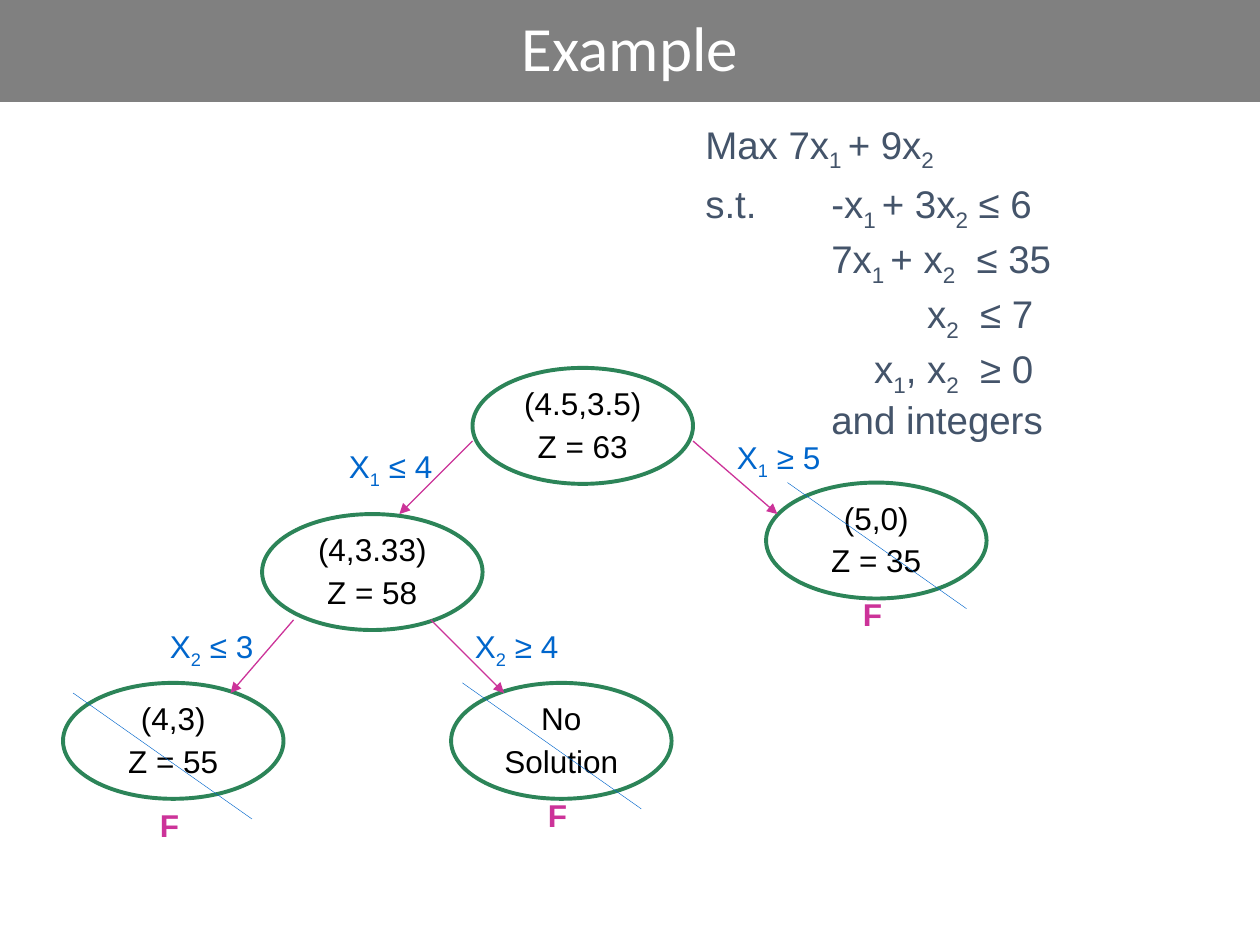
from pptx import Presentation
from pptx.dml.color import RGBColor
from pptx.enum.shapes import MSO_CONNECTOR, MSO_SHAPE
from pptx.enum.text import MSO_ANCHOR, PP_ALIGN
from pptx.oxml.ns import qn
from pptx.util import Inches, Pt
from lxml import etree

LINE = MSO_CONNECTOR.STRAIGHT
OVAL = MSO_SHAPE.OVAL
MIDDLE = MSO_ANCHOR.MIDDLE
CENTER = PP_ALIGN.CENTER
PINK, BLUE, GREEN = "CC3399", "0066CC", "2C8458"

MODEL = {"name": "Arial", "size": Pt(22), "color": "44546A"}
NODE = {"name": "Arial", "size": Pt(18), "color": "000000"}
LABEL = {"name": "Arial", "size": Pt(18), "color": BLUE}
MARK = {"name": "Arial", "size": Pt(18), "color": PINK, "bold": True}
HEAD = {"name": "Calibri", "size": Pt(36), "color": "FFFFFF"}


def write(para, text, style):
    """Fill a paragraph; parts of text between underscores are subscripts."""
    for i, part in enumerate(text.split("_")):
        if not part:
            continue
        run = para.add_run()
        run.text = part
        for key, value in style.items():
            if key == "color":
                run.font.color.rgb = RGBColor.from_string(value)
            else:
                setattr(run.font, key, value)
        if i % 2:
            run.font._element.set("baseline", "-25000")


def draw(start, end, color, width, arrow=False):
    """Draw a straight line between two points given in inches."""
    line = slide.shapes.add_connector(LINE, *map(Inches, start + end))
    line.line.color.rgb = RGBColor.from_string(color)
    line.line.width = Pt(width)
    props = line._element.spPr
    if arrow:
        etree.SubElement(props.find(qn("a:ln")), qn("a:tailEnd"), type="triangle")
    etree.SubElement(props, qn("a:effectLst"))


deck = Presentation()
deck.slide_width, deck.slide_height = Inches(10), Inches(7.5)
slide = deck.slides.add_slide(deck.slide_layouts[5])

# Title band
title = slide.shapes.title
title.left, title.top = Inches(0), Inches(0)
title.width, title.height = Inches(10), Inches(0.81)
title.fill.solid()
title.fill.fore_color.rgb = RGBColor.from_string("808080")
title.text_frame.vertical_anchor = MIDDLE
para = title.text_frame.paragraphs[0]
para.alignment = CENTER
para.line_spacing = 0.9
write(para, "Example", HEAD)

# Integer program, each line with its left indent
model = [
    ("Max 7x_1 _+ 9x_2_", 0),
    ("s.t. \t-x_1 _+ 3x_2_ ≤ 6", 0),
    ("7x_1 _+ x_2_  ≤ 35", 1),
    ("x_2_  ≤ 7", 1.76),
    ("x_1_, x_2_  ≥ 0", 1.34),
    ("and integers", 1),
]
box = slide.shapes.add_textbox(Inches(5.5), Inches(0.91), Inches(4), Inches(2.51))
frame = box.text_frame
frame.word_wrap = True
for i, (text, indent) in enumerate(model):
    para = frame.add_paragraph() if i else frame.paragraphs[0]
    props = para._p.get_or_add_pPr()
    props.set("marL", str(Inches(indent)))
    props.set("indent", "0")
    props.set("defTabSz", str(Inches(1)))
    if i:
        para.line_spacing = 0.9
        para.space_before = Pt(4.4)
    write(para, text, MODEL)

# Tree nodes
nodes = [
    (3.75, 2.92, "(4.5,3.5)", "Z = 63"),
    (2.08, 4.08, "(4,3.33)", "Z = 58"),
    (6.08, 3.83, "(5,0)", "Z = 35"),
    (0.5, 5.42, "(4,3)", "Z = 55"),
    (3.58, 5.42, "No", "Solution"),
]
for x, y, point, value in nodes:
    node = slide.shapes.add_shape(OVAL, Inches(x), Inches(y), Inches(1.75), Inches(0.92))
    node.shadow.inherit = False
    node.fill.background()
    node.line.color.rgb = RGBColor.from_string(GREEN)
    node.line.width = Pt(2.25)
    frame = node.text_frame
    frame.vertical_anchor = MIDDLE
    for side, gap in {"left": 0, "right": 0, "top": 0.05, "bottom": 0}.items():
        setattr(frame, f"margin_{side}", Inches(gap))
    for i, text in enumerate((point, value)):
        para = frame.add_paragraph() if i else frame.paragraphs[0]
        para.alignment = CENTER
        para.line_spacing = 0.7
        if i:
            para.space_before = Pt(9)
        write(para, text, NODE)

# Branches
for start, end in [
    ((3.75, 3.5), (3.17, 4.08)),
    ((5.5, 3.5), (6.17, 4.08)),
    ((2.33, 4.92), (1.83, 5.5)),
    ((3.42, 4.92), (4, 5.5)),
]:
    draw(start, end, PINK, 0.75, arrow=True)

# Branch labels and fathomed marks
for x, y, width, text, style in [
    (2.67, 3.5, 0.92, "X_1_ ≤ 4", LABEL),
    (5.75, 3.43, 0.92, "X_1_ ≥ 5", LABEL),
    (1.25, 4.93, 0.92, "X_2_ ≤ 3", LABEL),
    (3.67, 4.93, 0.92, "X_2_ ≥ 4", LABEL),
    (6.75, 4.67, 0.33, "F", MARK),
    (1.17, 6.35, 0.33, "F", MARK),
    (4.25, 6.27, 0.33, "F", MARK),
]:
    box = slide.shapes.add_textbox(Inches(x), Inches(y), Inches(width), Inches(0.4))
    box.text_frame.word_wrap = True
    write(box.text_frame.paragraphs[0], text, style)

# Strikes through the fathomed nodes
for x, y in [(6.25, 3.83), (0.58, 5.5), (3.67, 5.42)]:
    draw((x, y), (x + 1.42, y + 1), BLUE, 0.25)

deck.save("out.pptx")
